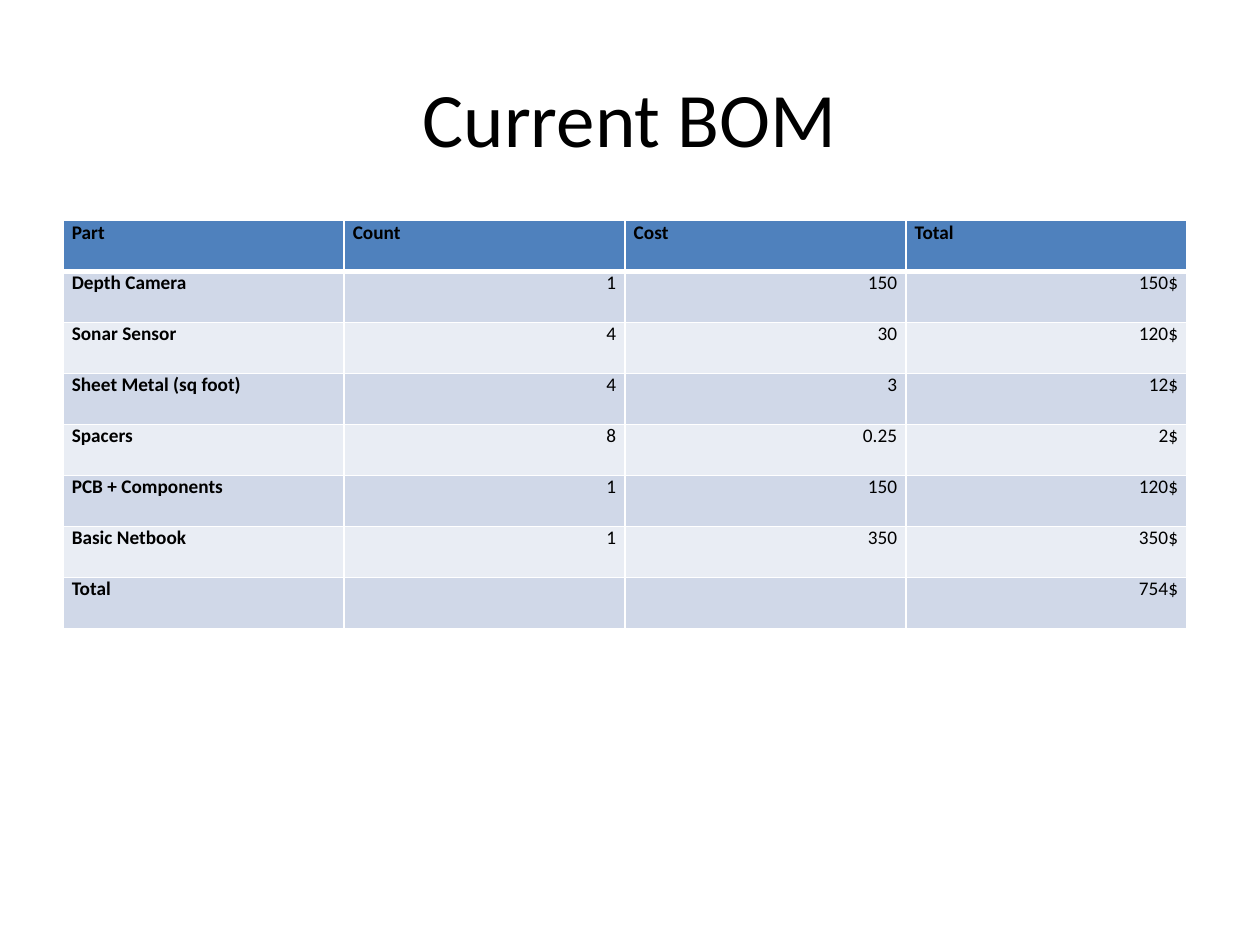
from dataclasses import dataclass

from lxml.etree import SubElement
from pptx import Presentation
from pptx.dml.color import RGBColor
from pptx.enum.text import MSO_ANCHOR, PP_ALIGN
from pptx.oxml.ns import qn
from pptx.util import Inches, Pt


@dataclass(frozen=True)
class Theme:
    font: str = "Calibri"
    ink: str = "000000"
    head: str = "4F81BD"
    odd: str = "D0D8E8"
    even: str = "E9EDF4"
    rule: str = "FFFFFF"
    title: int = 44
    body: int = 11
    thin: int = 1
    thick: int = 3


THEME = Theme()

ROWS = [
    ("Part", "Count", "Cost", "Total"),
    ("Depth Camera", "1", "150", "150$"),
    ("Sonar Sensor", "4", "30", "120$"),
    ("Sheet Metal (sq foot)", "4", "3", "12$"),
    ("Spacers", "8", "0.25", "2$"),
    ("PCB + Components", "1", "150", "120$"),
    ("Basic Netbook", "1", "350", "350$"),
    ("Total", "", "", "754$"),
]


def set_text(frame, text, size, align, bold=False):
    frame.text = text
    para = frame.paragraphs[0]
    para.alignment = align
    for run in para.runs:
        run.font.name = THEME.font
        run.font.size = Pt(size)
        run.font.bold = bold
        run.font.color.rgb = RGBColor.from_string(THEME.ink)


def add_title(slide, box, text):
    frame = slide.shapes.add_textbox(*box).text_frame
    frame.word_wrap = True
    frame.vertical_anchor = MSO_ANCHOR.MIDDLE
    set_text(frame, text, THEME.title, PP_ALIGN.CENTER)


def set_rules(cell, row):
    """Draw the cell's edges, with a thick rule below the header row."""
    props = cell._tc.get_or_add_tcPr()
    heavy = {"T": 1, "B": 0}
    for side in "LRTB":
        width = THEME.thick if heavy.get(side) == row else THEME.thin
        line = SubElement(props, qn(f"a:ln{side}"), w=str(Pt(width)))
        fill = SubElement(line, qn("a:solidFill"))
        SubElement(fill, qn("a:srgbClr"), val=THEME.rule)


def style_cell(cell, row, col, text):
    set_rules(cell, row)
    shade = THEME.head if row == 0 else THEME.odd if row % 2 else THEME.even
    cell.fill.solid()
    cell.fill.fore_color.rgb = RGBColor.from_string(shade)
    cell.margin_left = cell.margin_right = Inches(0.07)
    cell.margin_top = cell.margin_bottom = 0
    label = row == 0 or col == 0
    align = PP_ALIGN.LEFT if label else PP_ALIGN.RIGHT
    set_text(cell.text_frame, text, THEME.body, align, label)


def add_parts(slide, box, rows):
    table = slide.shapes.add_table(len(rows), len(rows[0]), *box).table
    for r, row in enumerate(rows):
        for c, text in enumerate(row):
            style_cell(table.cell(r, c), r, c, text)


def main():
    deck = Presentation()
    deck.slide_width, deck.slide_height = Inches(10), Inches(7.5)
    slide = deck.slides.add_slide(deck.slide_layouts[6])
    add_title(slide, [Inches(n) for n in (0.5, 0.3, 9, 1.25)], "Current BOM")
    add_parts(slide, [Inches(n) for n in (0.5, 1.75, 8.92, 3.24)], ROWS)
    deck.save("out.pptx")


if __name__ == "__main__":
    main()
